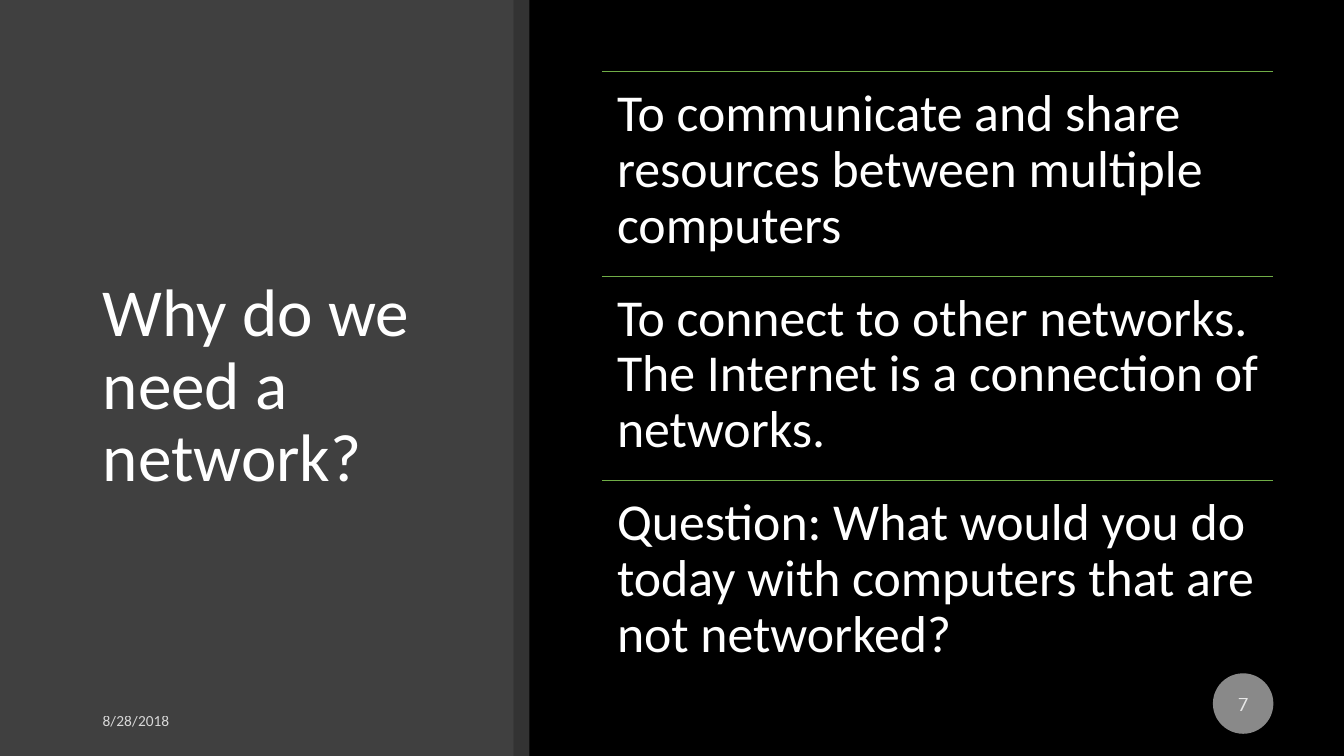
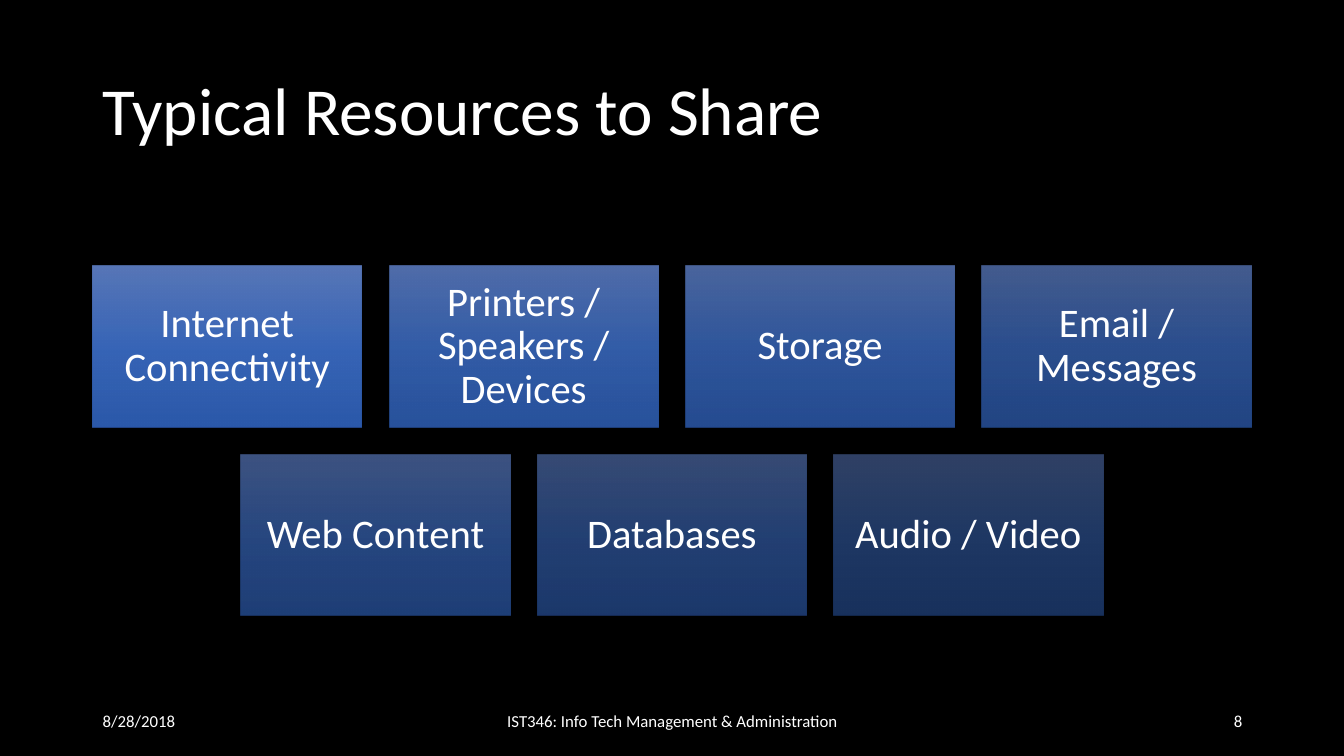
from dataclasses import dataclass

from lxml import etree
from pptx import Presentation
from pptx.dml.color import RGBColor
from pptx.enum.shapes import MSO_CONNECTOR, MSO_SHAPE
from pptx.enum.text import MSO_ANCHOR, MSO_AUTO_SIZE, PP_ALIGN
from pptx.oxml import parse_xml
from pptx.oxml.ns import nsdecls, qn
from pptx.util import Inches, Pt

RECT, OVAL = MSO_SHAPE.RECTANGLE, MSO_SHAPE.OVAL
STRAIGHT = MSO_CONNECTOR.STRAIGHT
LEFT, CENTER, RIGHT = PP_ALIGN.LEFT, PP_ALIGN.CENTER, PP_ALIGN.RIGHT
TOP, MIDDLE = MSO_ANCHOR.TOP, MSO_ANCHOR.MIDDLE
NO_FIT = MSO_AUTO_SIZE.NONE

# Shared look
COLORS = {"back": "000000", "panel": "404040", "text": "FFFFFF",
          "rule": "70AD47", "badge": "898989"}
TILE_STOPS = ((0, "6183CB"), (50, "3E70CA"), (100, "3062BB"))
FONT = "Calibri"
SLIDE_W, SLIDE_H = 13.33, 7.5
MARGIN = 0.92
FOOTER_Y, FOOTER_H = 6.95, 0.4
DATE = "8/28/2018"


@dataclass(frozen=True)
class Box:
    x: float
    y: float
    w: float
    h: float

    def emu(self) -> tuple:
        return tuple(Inches(v) for v in (self.x, self.y, self.w, self.h))


@dataclass(frozen=True)
class TextStyle:
    size: float
    align: PP_ALIGN = LEFT
    anchor: MSO_ANCHOR = MIDDLE
    inset: tuple = (0.1, 0.05)
    spacing: float = 1.0
    opacity: int = 100


TITLE = TextStyle(48, spacing=0.9)
REASON = TextStyle(37, anchor=TOP, inset=(0.15, 0.15), spacing=0.9)
TILE = TextStyle(29, CENTER, inset=(0.12, 0.12), spacing=0.9)
PALE_DATE = TextStyle(11, opacity=80)
BADGE = TextStyle(15, CENTER, inset=(0, 0), opacity=80)


def rgb(name: str) -> RGBColor:
    return RGBColor.from_string(COLORS[name])


def set_opacity(element, percent: int) -> None:
    for color in element.iter(qn("a:srgbClr")):
        etree.SubElement(color, qn("a:alpha")).set("val", str(percent * 1000))


def write(sp, text: str, style: TextStyle) -> None:
    tf = sp.text_frame
    tf.word_wrap = True
    tf.auto_size = NO_FIT
    tf.vertical_anchor = style.anchor
    tf.margin_left = tf.margin_right = Inches(style.inset[0])
    tf.margin_top = tf.margin_bottom = Inches(style.inset[1])
    p = tf.paragraphs[0]
    p.text = text
    p.alignment = style.align
    p.line_spacing = style.spacing
    p.font.name = FONT
    p.font.size = Pt(style.size)
    p.font.color.rgb = rgb("text")
    if style.opacity < 100:
        set_opacity(p._p, style.opacity)


def add_text(s, box: Box, text: str, style: TextStyle) -> None:
    write(s.shapes.add_textbox(*box.emu()), text, style)


def add_filled(s, kind, box: Box, color: str, opacity: int = 100):
    sp = s.shapes.add_shape(kind, *box.emu())
    sp.shadow.inherit = False
    sp.line.fill.background()
    sp.fill.solid()
    sp.fill.fore_color.rgb = rgb(color)
    if opacity < 100:
        set_opacity(sp._element.spPr, opacity)
    return sp


def add_rule(s, x: float, y: float, w: float) -> None:
    line = s.shapes.add_connector(
        STRAIGHT, Inches(x), Inches(y), Inches(x + w), Inches(y))
    line.line.color.rgb = rgb("rule")
    line.line.width = Pt(0.5)
    etree.SubElement(line._element.spPr, qn("a:effectLst"))


def add_tile(s, box: Box, text: str, opacity: int) -> None:
    sp = add_filled(s, RECT, box, "panel")
    stops = "".join(f'<a:gs pos="{pos * 1000}"><a:srgbClr val="{color}"/></a:gs>'
                    for pos, color in TILE_STOPS)
    gradient = parse_xml(f'<a:gradFill {nsdecls("a")} rotWithShape="1"><a:gsLst>{stops}'
                         '</a:gsLst><a:lin ang="5400000" scaled="0"/></a:gradFill>')
    set_opacity(gradient, opacity)
    spPr = sp._element.spPr
    spPr.replace(spPr.find(qn("a:solidFill")), gradient)
    write(sp, text, TILE)


def add_slide(prs, title: str, box: Box):
    s = prs.slides.add_slide(prs.slide_layouts[5])
    sp = s.shapes.title
    sp.left, sp.top, sp.width, sp.height = box.emu()
    write(sp, title, TITLE)
    return s


def add_footer(s, x: float, w: float, text: str, style: TextStyle) -> None:
    add_text(s, Box(x, FOOTER_Y, w, FOOTER_H), text, style)


def build_reasons(prs) -> None:
    s = add_slide(prs, "Why do we need a network?", Box(MARGIN, 0.89, 3.65, 5.91))
    # Side panel, kept behind the title
    panel = add_filled(s, RECT, Box(0, 0, 5.09, SLIDE_H), "panel")
    strip = add_filled(s, RECT, Box(5.09, 0, 0.16, SLIDE_H), "text", 20)
    title = s.shapes.title._element
    for sp in (panel, strip):
        title.addprevious(sp._element)
    # Ruled list
    reasons = (
        "To communicate and share resources between multiple computers",
        "To connect to other networks. The Internet is a connection of networks.",
        "Question: What would you do today with computers that are not networked?",
    )
    x, top, w, row_h = 5.97, 0.71, 6.66, 2.03
    for row, reason in enumerate(reasons):
        y = top + row * row_h
        add_rule(s, x, y, w)
        add_text(s, Box(x, y, w, row_h), reason, REASON)
    # Date and page badge
    add_footer(s, MARGIN, 3, DATE, PALE_DATE)
    badge = add_filled(s, OVAL, Box(12.03, 6.68, 0.6, 0.6), "badge")
    write(badge, "7", BADGE)


def build_resources(prs) -> None:
    s = add_slide(prs, "Typical Resources to Share", Box(MARGIN, 0.4, 11.5, 1.45))
    # Centred rows of tiles that fade from first to last
    rows = (
        ("Internet Connectivity", "Printers / Speakers / Devices",
         "Storage", "Email / Messages"),
        ("Web Content", "Databases", "Audio / Video"),
    )
    tile_w, tile_h, gap, top = 2.67, 1.6, 0.27, 2.64
    last = sum(len(row) for row in rows) - 1
    index = 0
    for r, row in enumerate(rows):
        left = (SLIDE_W - len(row) * (tile_w + gap) + gap) / 2
        for c, label in enumerate(row):
            box = Box(left + c * (tile_w + gap), top + r * (tile_h + gap), tile_w, tile_h)
            add_tile(s, box, label, round(90 - 40 * index / last))
            index += 1
    # Footer
    for x, w, text, align in (
        (MARGIN, 3, DATE, LEFT),
        (4.42, 4.5, "IST346: Info Tech Management & Administration", CENTER),
        (9.42, 3, "8", RIGHT),
    ):
        add_footer(s, x, w, text, TextStyle(12, align))


def main() -> None:
    prs = Presentation()
    prs.slide_width, prs.slide_height = Inches(SLIDE_W), Inches(SLIDE_H)
    back = prs.slide_master.background.fill
    back.solid()
    back.fore_color.rgb = rgb("back")
    build_reasons(prs)
    build_resources(prs)
    prs.save("out.pptx")


if __name__ == "__main__":
    main()
